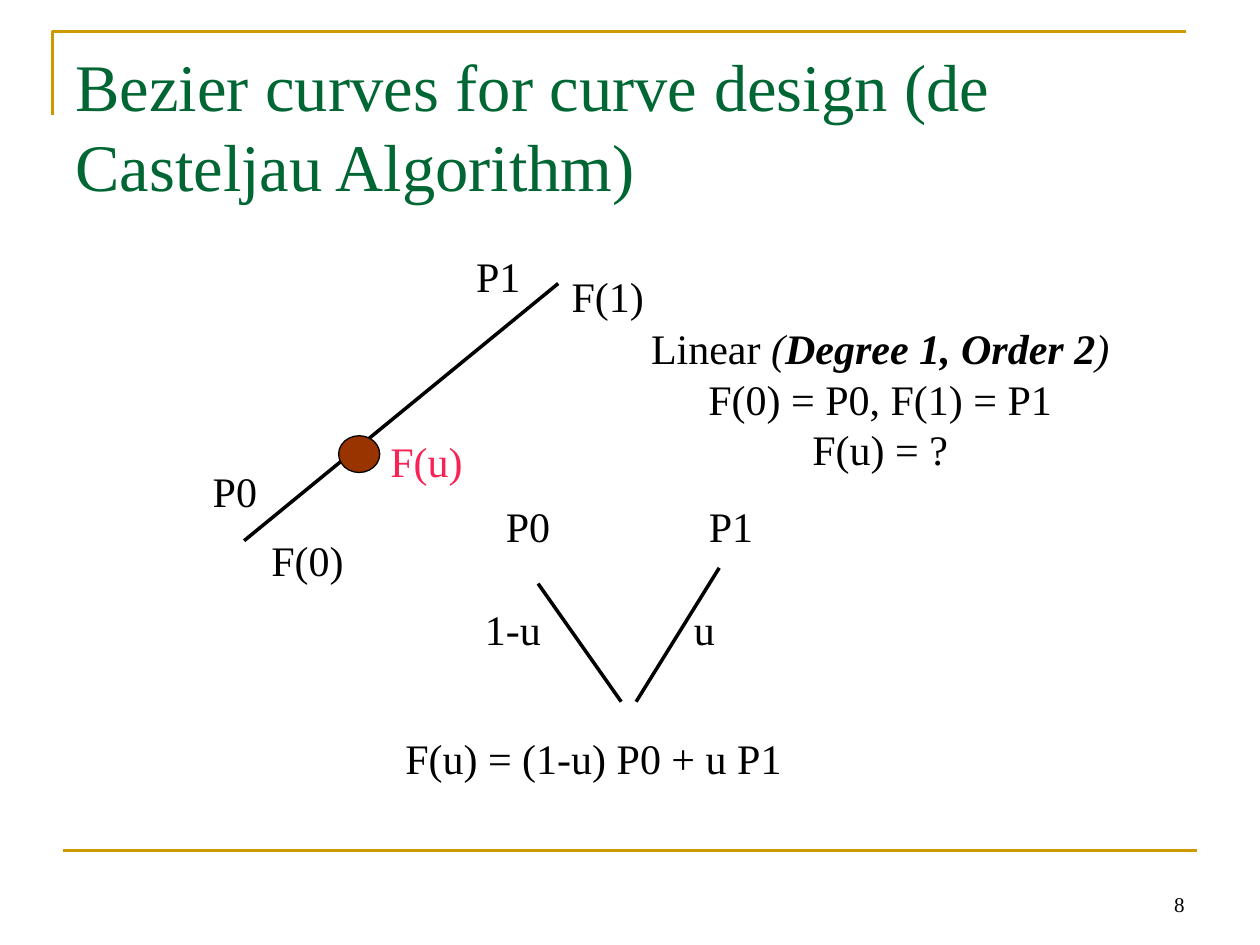
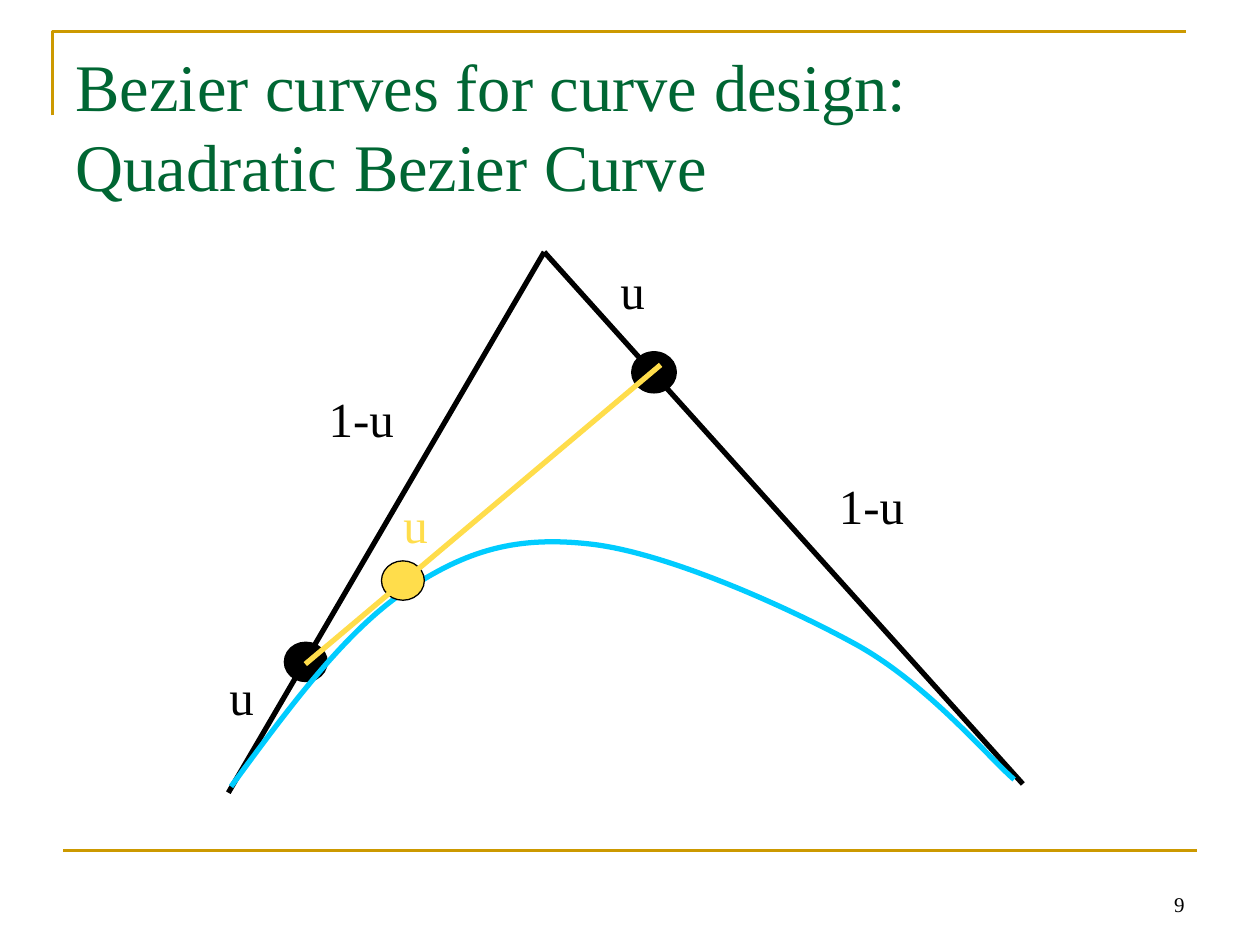
from dataclasses import dataclass

from lxml import etree
from pptx import Presentation
from pptx import util as u
from pptx.dml.color import RGBColor
from pptx.enum import shapes, text
from pptx.oxml.ns import qn

LEFT, CENTER, RIGHT = text.PP_ALIGN.LEFT, text.PP_ALIGN.CENTER, text.PP_ALIGN.RIGHT


@dataclass(frozen=True)
class Theme:
    font: str = "Times New Roman"
    ink: str = "000000"
    title: str = "006633"
    frame: str = "CC9900"
    point: str = "993300"
    point_label: str = "F82255"
    construction: str = "FFDD4B"
    curve: str = "00CCFF"
    title_size: float = 38
    formula_size: float = 24
    weight_size: float = 28
    number_size: float = 12
    frame_width: float = 1.5
    outline_width: float = 0.75
    leading: float = 1.2


THEME = Theme()


def rgb(value):
    return RGBColor.from_string(value)


def pts(*values):
    return [u.Pt(value) for value in values]


def set_line(shape, color, width):
    shape.line.color.rgb = rgb(color)
    shape.line.width = u.Pt(width)


def add_text(page, lines, place, size, color=THEME.ink, align=LEFT,
             anchor=text.MSO_ANCHOR.TOP, leading=THEME.leading):
    """Each line is a string or a list of (string, font format) spans."""
    box = page.shapes.add_textbox(*pts(*place))
    frame = box.text_frame
    frame.word_wrap = True
    frame.vertical_anchor = anchor
    for index, line in enumerate(lines):
        para = frame.paragraphs[0] if index == 0 else frame.add_paragraph()
        para.alignment = align
        para.line_spacing = u.Pt(size * leading) if leading else None
        for content, extra in [(line, {})] if isinstance(line, str) else line:
            span = para.add_run()
            span.text = content
            span.font.color.rgb = rgb(color)
            formats = {"name": THEME.font, "size": u.Pt(size), **extra}
            for name, value in formats.items():
                setattr(span.font, name, value)


def add_line(page, start, end, color=THEME.ink, width=2.0):
    line = page.shapes.add_connector(
        shapes.MSO_CONNECTOR.STRAIGHT, *pts(*start, *end))
    set_line(line, color, width)
    etree.SubElement(line._element.spPr, qn("a:effectLst"))


def add_dot(page, place, color):
    dot = page.shapes.add_shape(shapes.MSO_SHAPE.OVAL, *pts(*place))
    dot.shadow.inherit = False
    dot.fill.solid()
    dot.fill.fore_color.rgb = rgb(color)
    set_line(dot, THEME.ink, THEME.outline_width)


def add_outline(page, points, color, width):
    builder = page.shapes.build_freeform(*pts(*points[0]))
    builder.add_line_segments([pts(*point) for point in points[1:]], close=False)
    outline = builder.convert_to_shape()
    outline.shadow.inherit = False
    outline.fill.background()
    set_line(outline, color, width)
    return outline


def add_curve(page, points, color, width):
    """Draw cubic Bezier segments: a start, then three points a segment."""
    curve = add_outline(page, points, color, width)
    steps = list(curve._element.iter(qn("a:lnTo")))
    for first in range(0, len(steps), 3):
        segment = etree.Element(qn("a:cubicBezTo"))
        steps[first].addprevious(segment)
        for step in steps[first:first + 3]:
            segment.append(step[0])
            step.getparent().remove(step)


def add_page(deck, title, number):
    page = deck.slides.add_slide(deck.slide_layouts[6])
    add_outline(page, [(30, 66), (30, 18), (678, 18)], THEME.frame, THEME.frame_width)
    add_line(page, (36, 486), (684, 486), THEME.frame, THEME.frame_width)
    add_text(page, [title], (36, 22, 648, 90), THEME.title_size, THEME.title)
    add_text(page, [str(number)], (516, 491.5, 168, 36), THEME.number_size,
             align=RIGHT, anchor=text.MSO_ANCHOR.BOTTOM, leading=None)
    return page


def add_linear_page(deck):
    page = add_page(
        deck, "Bezier curves for curve design (de Casteljau Algorithm)", 8)
    heading = [("Linear ", {}), ("(", {"italic": True}),
               ("Degree 1, Order 2", {"italic": True, "bold": True}),
               (")", {"italic": True})]
    add_text(page, [heading, "F(0) = P0, F(1) = P1", "F(u) = ?"],
             (345, 181, 316, 93.6), THEME.formula_size, align=CENTER)
    add_line(page, (139.5, 309), (319, 162))
    for start, end in [((307.5, 333.5), (355, 401)), ((411, 324.5), (363.5, 401))]:
        add_line(page, start, end)
    add_dot(page, (193.5, 249, 23.5, 21), THEME.point)
    labels = [
        ("P0", 114.5, 262.5, 44), ("P1", 265, 139.5, 44),
        ("P0", 282, 282.5, 44), ("P1", 398, 282.5, 44),
        ("1-u", 270, 341.5, 52), ("u", 389.5, 341.5, 30),
        ("F(u) = (1-u) P0 + u P1", 224.5, 415, 240),
        ("F(0)", 148, 302, 60), ("F(u)", 216, 245.5, 60), ("F(1)", 319.5, 151, 60),
    ]
    for label, left, top, width in labels:
        color = THEME.point_label if label == "F(u)" else THEME.ink
        add_text(page, [label], (left, top, width, 36), THEME.formula_size, color)


def add_quadratic_page(deck):
    page = add_page(
        deck, "Bezier curves for curve design: Quadratic Bezier Curve", 9)
    start, apex, end = (130.5, 453), (311, 144), (584.5, 448)
    add_line(page, start, apex, width=3)
    add_line(page, apex, end, width=3)
    add_dot(page, (162.5, 367, 24.5, 22.5), THEME.ink)
    add_curve(page, [
        (132, 449.5), (165, 404.5), (197.5, 360.5), (232, 337.5),
        (266.5, 314.5), (295, 306), (338, 311),
        (381, 316), (449.5, 346.5), (489.5, 368.5),
        (530, 391), (564.5, 432.5), (579.5, 445.5),
    ], THEME.curve, 3)
    add_dot(page, (218, 320.5, 24.5, 22.5), THEME.construction)
    add_dot(page, (361, 201, 25.5, 23.5), THEME.ink)
    add_line(page, (174.5, 379.5), (377.5, 208.5), THEME.construction, 3)
    weights = [
        ("u", 223, 279, 29, THEME.construction),
        ("u", 123.5, 377.5, 29, THEME.ink), ("u", 347, 145.5, 29, THEME.ink),
        ("1-u", 178, 218.5, 57, THEME.ink), ("1-u", 469.5, 268.5, 57, THEME.ink),
    ]
    for weight, left, top, width, color in weights:
        add_text(page, [weight], (left, top, width, 41), THEME.weight_size, color,
                 align=CENTER)


def main():
    deck = Presentation()
    deck.slide_width, deck.slide_height = pts(720, 540)
    add_linear_page(deck)
    add_quadratic_page(deck)
    deck.save("out.pptx")


if __name__ == "__main__":
    main()
